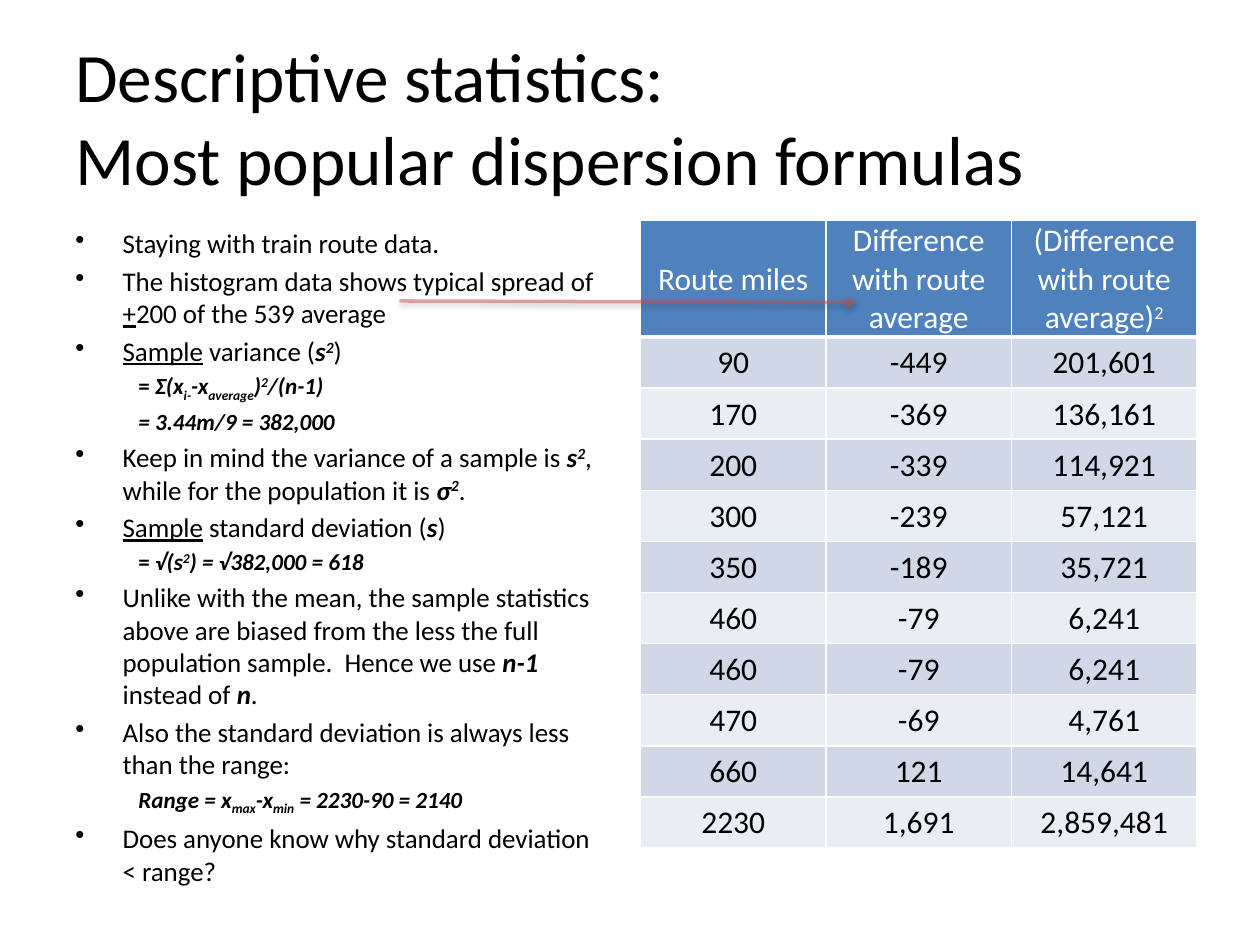
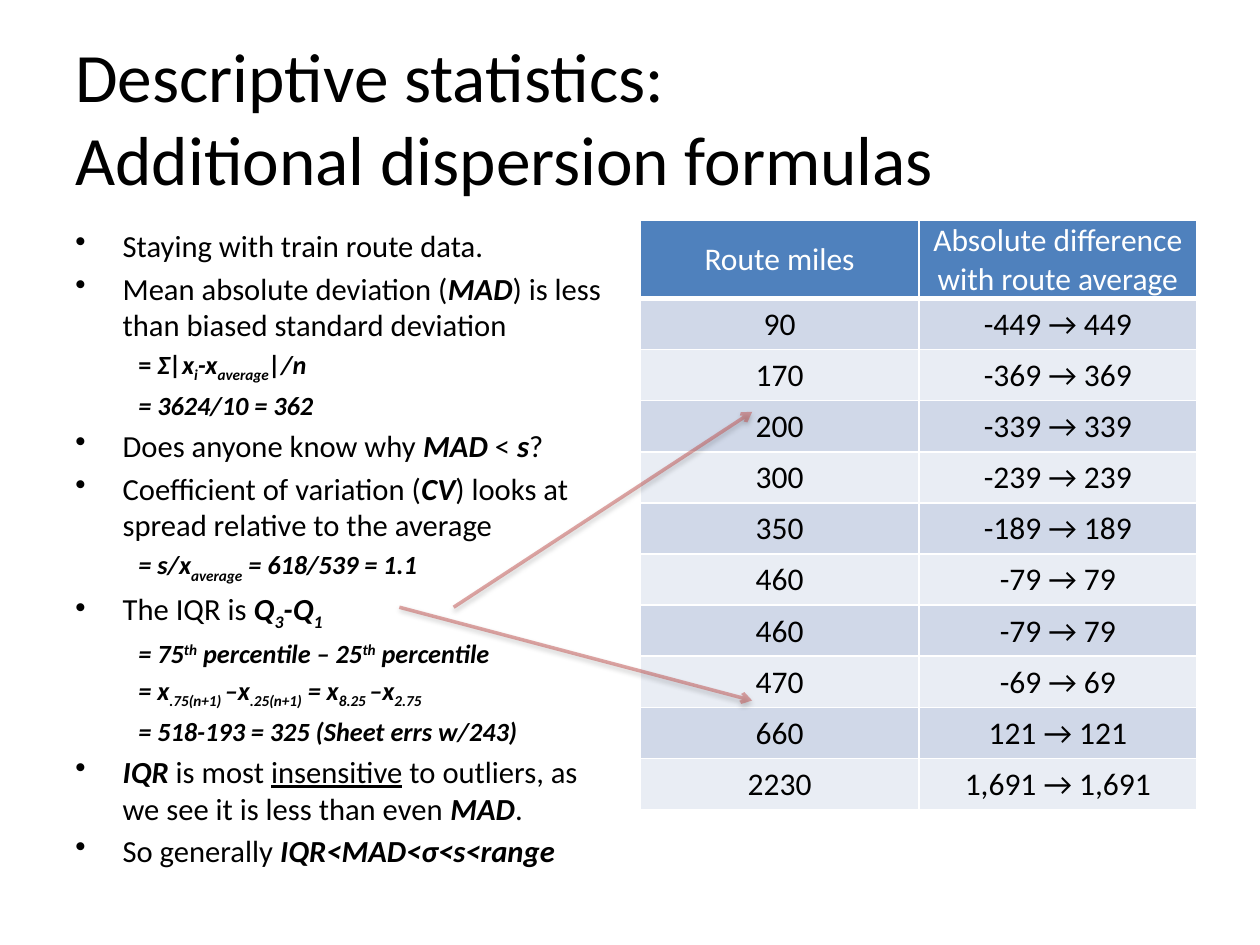
from lxml import etree
from pptx import Presentation
from pptx.dml.color import RGBColor
from pptx.enum.shapes import MSO_CONNECTOR
from pptx.enum.text import MSO_ANCHOR, PP_ALIGN
from pptx.oxml.ns import qn
from pptx.util import Pt

STRAIGHT = MSO_CONNECTOR.STRAIGHT
MIDDLE = MSO_ANCHOR.MIDDLE
TOP = MSO_ANCHOR.TOP
CENTER = PP_ALIGN.CENTER
LEFT = PP_ALIGN.LEFT

BLACK = RGBColor(0x00, 0x00, 0x00)
WHITE = RGBColor(0xFF, 0xFF, 0xFF)
BLUE = RGBColor(0x4F, 0x81, 0xBD)
DARK = RGBColor(0xD0, 0xD8, 0xE8)
PALE = RGBColor(0xE9, 0xED, 0xF4)
RED = RGBColor(0xC0, 0x50, 0x4D)

FONT = "Calibri"
STRONG, LOW, HIGH = "bi", "bi_", "bi^"
MAIN, SUB = 0, 1
INDENTS = {MAIN: (27, -27), SUB: (58.5, -22.5)}
BASES = {"_": "-25000", "^": "30000"}

TITLE_BOX = (36, 21.6, 648, 90)
BODY_BOX = (36, 126, 318, 356.4)
GRID_LEFT, GRID_TOP, GRID_WIDTH = 366, 126, 318
ROW_HIGH = 29.2

MILES = ["90", "170", "200", "300", "350", "460", "460", "470", "660", "2230"]
DIFFS = ["-449", "-369", "-339", "-239", "-189", "-79", "-79", "-69", "121", "1,691"]
SQUARES = ["201,601", "136,161", "114,921", "57,121", "35,721", "6,241", "6,241",
           "4,761", "14,641", "2,859,481"]

POPULAR = [
    (MAIN, "Staying with train route data."),
    (MAIN, "The histogram data shows typical spread of ", ("+", "u"), "200 of the 539 average"),
    (MAIN, ("Sample", "u"), " variance (", ("s", STRONG), ("2", HIGH), ")"),
    (SUB, ("= ", "b"), "Σ(x", ("i-", LOW), "-x", ("average", LOW), ")", ("2", HIGH), "/(n-1)"),
    (SUB, "= 3.44m/9 = 382,000"),
    (MAIN, "Keep in mind the variance of a sample is ", ("s", STRONG), ("2", HIGH),
     ", while for the population it is ", ("σ", STRONG), ("2", HIGH), "."),
    (MAIN, ("Sample", "u"), " standard deviation (", ("s", STRONG), ")"),
    (SUB, ("=", "b"), " √(s", ("2", HIGH), ") = √382,000 = 618"),
    (MAIN, "Unlike with the mean, the sample statistics above are biased from the less "
     "the full population sample.  Hence we use ", ("n-1", STRONG), " instead of ",
     ("n", STRONG), "."),
    (MAIN, "Also the standard deviation is always less than the range:"),
    (SUB, "Range = x", ("max", LOW), "-x", ("min", LOW), " = 2230-90 = 2140"),
    (MAIN, "Does anyone know why standard deviation < range?"),
]

FURTHER = [
    (MAIN, "Staying with train route data."),
    (MAIN, "Mean absolute deviation (", ("MAD", STRONG),
     ") is less than biased standard deviation"),
    (SUB, ("= ", "b"), "Σ|x", ("i", LOW), "-x", ("average", LOW), "|/n"),
    (SUB, "= 3624/10 = 362"),
    (MAIN, "Does anyone know why ", ("MAD", STRONG), " < ", ("s", STRONG), "?"),
    (MAIN, "Coefficient of variation (", ("CV", STRONG),
     ") looks at spread relative to the average"),
    (SUB, "= s/x", ("average", LOW), " = 618/539 = 1.1"),
    (MAIN, "The IQR is ", ("Q", STRONG), ("3", LOW), ("-Q", STRONG), ("1", LOW)),
    (SUB, "= 75", ("th", HIGH), " percentile – 25", ("th", HIGH), " percentile"),
    (SUB, "= x", (".75(n+1) ", LOW), "–x", (".25(n+1)", LOW), " = x", ("8.25 ", LOW),
     "–x", ("2.75", LOW)),
    (SUB, "= 518-193 = 325 (Sheet errs w/243)"),
    (MAIN, ("IQR", STRONG), " is most ", ("insensitive", "u"),
     " to outliers, as we see it is less than even ", ("MAD", STRONG), "."),
    (MAIN, "So generally ", ("IQR<MAD<σ<s<range", STRONG)),
]


def add_node(root, tag, **attrs):
    """Append a child element with attributes and return it."""
    return etree.SubElement(root, qn(tag), attrs)


def add_run(para, text, size, color=BLACK, style=""):
    """Add one run; style letters are b, i, u, _ (low) and ^ (high)."""
    run = para.add_run()
    run.text = text
    font = run.font
    font.name, font.size, font.color.rgb = FONT, Pt(size), color
    font.bold, font.italic, font.underline = (key in style for key in "biu")
    for mark, base in BASES.items():
        if mark in style:
            run._r.get_or_add_rPr().set("baseline", base)


def add_runs(para, runs, size, color=BLACK, plain=""):
    """Add runs given as plain text or as (text, style) pairs."""
    for run in runs:
        text, style = (run, plain) if isinstance(run, str) else run
        add_run(para, text, size, color, style)


def add_box(slide, box, anchor):
    """Add a wrapping text box and return its frame."""
    frame = slide.shapes.add_textbox(*map(Pt, box)).text_frame
    frame.word_wrap = True
    frame.vertical_anchor = anchor
    return frame


def add_title(slide, topic):
    """Add the two-line slide title."""
    para = add_box(slide, TITLE_BOX, MIDDLE).paragraphs[0]
    add_run(para, "Descriptive statistics: ", 39.6)
    para.add_line_break()
    add_run(para, topic, 39.6)


def add_list(slide, items, sizes):
    """Add the bullet list with its indented formula lines."""
    frame = add_box(slide, BODY_BOX, TOP)
    for spot, (level, *runs) in enumerate(items):
        para = frame.add_paragraph() if spot else frame.paragraphs[0]
        para.alignment = LEFT
        para.level = level
        size = sizes[level]
        para.space_before = Pt(size * 0.2 if spot else 0)
        props = para._p.get_or_add_pPr()
        margin, indent = INDENTS[level]
        props.set("marL", str(Pt(margin)))
        props.set("indent", str(Pt(indent)))
        if level == MAIN:
            add_node(props, "a:buChar", char="•")
        else:
            add_node(props, "a:buNone")
        add_runs(para, runs, size, plain=STRONG if level == SUB else "")


def add_edges(cell, below):
    """Draw white cell borders, with the given width at the bottom."""
    props = cell._tc.get_or_add_tcPr()
    for side in "LRTB":
        width = below if side == "B" else 1
        edge = add_node(props, f"a:ln{side}", w=str(Pt(width)))
        fill = add_node(edge, "a:solidFill")
        add_node(fill, "a:srgbClr", val=str(WHITE))


def fill_cell(cell, runs, back, color, below):
    """Write one table cell with its borders and fill."""
    add_edges(cell, below)
    cell.fill.solid()
    cell.fill.fore_color.rgb = back
    cell.margin_left = cell.margin_right = cell.margin_top = Pt(0.7)
    cell.margin_bottom = 0
    cell.vertical_anchor = MIDDLE
    para = cell.text_frame.paragraphs[0]
    para.alignment = CENTER
    add_runs(para, runs, 18, color)


def add_grid(slide, heads, data, tall):
    """Add the route table from head cells and data columns."""
    rows = list(zip(*data))
    high = tall + ROW_HIGH * len(rows)
    frame = slide.shapes.add_table(len(rows) + 1, len(heads), Pt(GRID_LEFT), Pt(GRID_TOP),
                                   Pt(GRID_WIDTH), Pt(high))
    table = frame.table
    for column in table.columns:
        column.width = Pt(GRID_WIDTH / len(heads))
    for spot, row in enumerate(table.rows):
        row.height = Pt(ROW_HIGH if spot else tall)
    for col, runs in enumerate(heads):
        fill_cell(table.cell(0, col), runs, BLUE, WHITE, 3)
    for spot, row in enumerate(rows, 1):
        for col, text in enumerate(row):
            fill_cell(table.cell(spot, col), [text], DARK if spot % 2 else PALE, BLACK, 1)


def add_arrow(slide, start, end):
    """Add a half-clear red arrow with a soft shadow."""
    link = slide.shapes.add_connector(STRAIGHT, *map(Pt, start + end))
    link.line.color.rgb = RED
    link.line.width = Pt(2)
    props = link._element.spPr
    line = props.find(qn("a:ln"))
    add_node(line.find(f".//{qn('a:srgbClr')}"), "a:alpha", val="50000")
    add_node(line, "a:tailEnd", type="arrow")
    glow = add_node(add_node(props, "a:effectLst"), "a:outerShdw", blurRad=str(Pt(3.1)),
                    dist=str(Pt(1.6)), dir="5400000", rotWithShape="0")
    shade = add_node(glow, "a:srgbClr", val=str(BLACK))
    add_node(shade, "a:alpha", val="38000")


def add_page(deck, topic, heads, data, tall, items, sizes, arrows):
    """Build one slide with title, table, list and arrows."""
    slide = deck.slides.add_slide(deck.slide_layouts[6])
    add_title(slide, topic)
    add_grid(slide, heads, data, tall)
    add_list(slide, items, sizes)
    for start, end in arrows:
        add_arrow(slide, start, end)


def main():
    """Build and save the deck."""
    deck = Presentation()
    deck.slide_width, deck.slide_height = Pt(720), Pt(540)
    add_page(deck, "Most popular dispersion formulas",
             [["Route miles"], ["Difference with route average"],
              ["(Difference with route average)", ("2", "^")]],
             [MILES, DIFFS, SQUARES], 66.6, POPULAR, (15.4, 13.2),
             [((228.2, 172), (489.6, 172.8))])
    shifts = [f"{diff} → {diff.lstrip('-')}" for diff in DIFFS]
    add_page(deck, "Additional dispersion formulas",
             [["Route miles"], ["Absolute difference with route average"]],
             [MILES, shifts], 44.6, FURTHER, (17.5, 15),
             [((259.2, 347), (429.8, 235.4)), ((228.2, 347), (429.8, 400.3))])
    deck.save("out.pptx")


if __name__ == "__main__":
    main()
